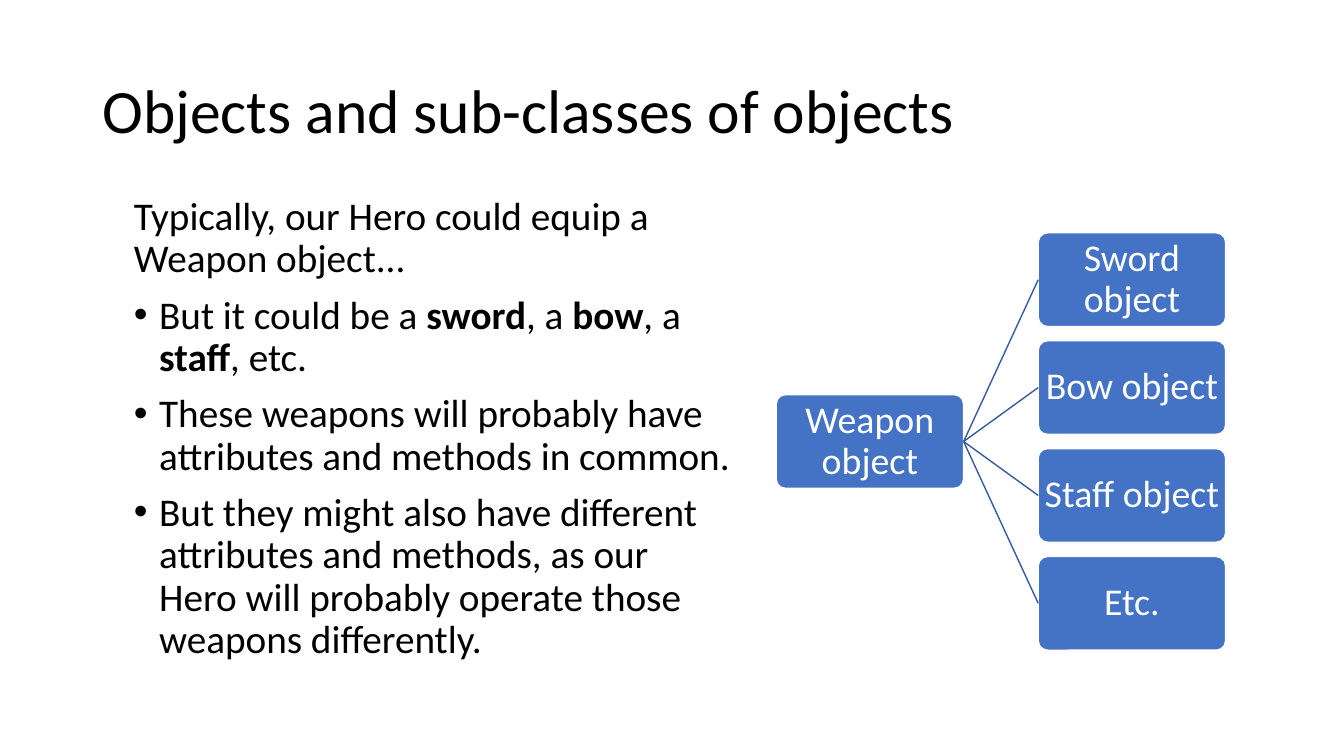
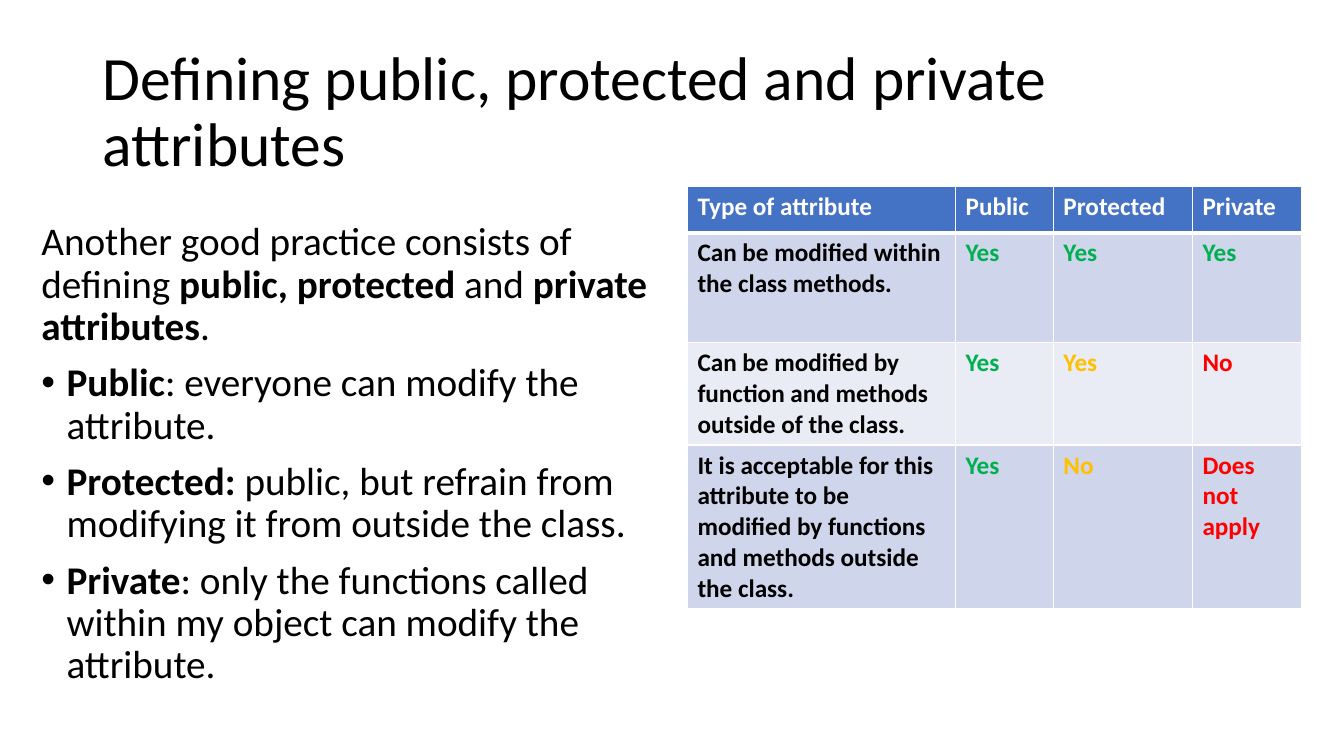
from dataclasses import dataclass

from lxml import etree
from pptx import Presentation
from pptx import util as u
from pptx.dml.color import RGBColor
from pptx.enum import shapes, text
from pptx.oxml import ns

FONT = "Calibri"
COLOURS = {
    "ink": "000000", "paper": "FFFFFF", "accent": "4472C4", "link": "365B9D",
    "band": "CFD5EA", "light": "E9EBF5",
    "good": "00B050", "caution": "FFC000", "bad": "FF0000",
}
WIDTH, HEIGHT = u.Inches(13.333), u.Inches(7.5)


@dataclass(frozen=True)
class Frame:
    """An area, in hundredths of the slide's width and height."""
    left: float
    top: float
    width: float
    height: float

    def lengths(self) -> tuple[int, int, int, int]:
        return (across(self.left), down(self.top),
                across(self.width), down(self.height))


@dataclass(frozen=True)
class Answer:
    wording: str
    colour: str


TITLE = Frame(6.88, 5.33, 86.25, 19.33)


def across(share: float) -> int:
    return round(WIDTH * share / 100)


def down(share: float) -> int:
    return round(HEIGHT * share / 100)


def colour(name: str) -> RGBColor:
    return RGBColor.from_string(COLOURS[name])


def add_element(parent, tag: str, **attributes: str):
    return etree.SubElement(parent, ns.qn(tag), attributes)


def set_font(para, size: float, shade: str, bold: bool = False) -> None:
    para.font.name = FONT
    para.font.size = u.Pt(size)
    para.font.bold = bold
    para.font.color.rgb = colour(shade)


# Title and body text
def place(box, frame: Frame) -> None:
    box.left, box.top, box.width, box.height = frame.lengths()
    box.text_frame.auto_size = text.MSO_AUTO_SIZE.NONE
    box.text_frame.word_wrap = True


def add_page(deck, title: str, body_frame: Frame, lines: list[str]):
    """Add a title and a lead line with bullets; ** switches bold on and off."""
    page = deck.slides.add_slide(deck.slide_layouts[1])
    heading, body = page.shapes.title, page.placeholders[1]
    place(heading, TITLE)
    heading.text_frame.vertical_anchor = text.MSO_ANCHOR.MIDDLE
    heading.text_frame.text = title
    para = heading.text_frame.paragraphs[0]
    para.alignment, para.line_spacing = text.PP_ALIGN.LEFT, 0.9
    set_font(para, 44, "ink")

    place(body, body_frame)
    for index, line in enumerate(lines):
        para = body.text_frame.paragraphs[0] if index == 0 else body.text_frame.add_paragraph()
        properties = para._p.get_or_add_pPr()
        indent = u.Inches(0.25) if index else 0
        properties.set("marL", str(indent))
        properties.set("indent", str(-indent))
        if index:
            add_element(properties, "a:buFont", typeface="Arial")
            add_element(properties, "a:buChar", char="•")
        else:
            add_element(properties, "a:buNone")
        para.line_spacing = 0.9
        para.space_before = u.Pt(10 if index else 0)
        set_font(para, 28, "ink")
        for part, words in enumerate(line.split("**")):
            if words:
                span = para.add_run()
                span.text = words
                if part % 2:
                    span.font.bold = True
    return page


# Class tree
def add_node(page, label: str, frame: Frame):
    node = page.shapes.add_shape(shapes.MSO_SHAPE.ROUNDED_RECTANGLE, *frame.lengths())
    node.adjustments[0] = 0.1
    node.shadow.inherit = False
    node.fill.solid()
    node.fill.fore_color.rgb = colour("accent")
    node.line.color.rgb = colour("paper")
    node.line.width = u.Pt(1)
    box = node.text_frame
    box.word_wrap = True
    box.vertical_anchor = text.MSO_ANCHOR.MIDDLE
    box.margin_left = box.margin_right = box.margin_top = box.margin_bottom = u.Inches(0.02)
    box.text = label
    para = box.paragraphs[0]
    para.alignment, para.line_spacing = text.PP_ALIGN.CENTER, 0.9
    set_font(para, 27, "paper")
    return node


def add_link(page, parent, child) -> None:
    link = page.shapes.add_connector(shapes.MSO_CONNECTOR.STRAIGHT, 0, 0, 0, 0)
    link.begin_connect(parent, 3)
    link.end_connect(child, 1)
    link.line.color.rgb = colour("link")
    link.line.width = u.Pt(1)
    add_element(link._element.spPr, "a:effectLst")


def add_tree(page, root: str, branches: list[str]) -> None:
    width, height, top, pitch = 13.95, 12.4, 30.8, 14.27
    middle = top + pitch * (len(branches) - 1) / 2
    parent = add_node(page, root, Frame(57.75, middle, width, height))
    for index, label in enumerate(branches):
        child = add_node(page, label, Frame(77.25, top + index * pitch, width, height))
        add_link(page, parent, child)


# Attribute table
def style_cell(cell, answer: Answer, fill: str, bold_sides: tuple[str, ...]) -> None:
    cell.text = answer.wording
    set_font(cell.text_frame.paragraphs[0], 18, answer.colour, bold=True)
    cell.fill.solid()
    cell.fill.fore_color.rgb = colour(fill)
    properties = cell._tc.get_or_add_tcPr()
    for position, side in enumerate(("lnL", "lnR", "lnT", "lnB")):
        width = u.Pt(3 if side in bold_sides else 1)
        border = add_element(properties, f"a:{side}", w=str(width))
        solid = add_element(border, "a:solidFill")
        add_element(solid, "a:srgbClr", val=COLOURS["paper"])
        properties.insert(position, border)


def add_answers(page, rows: list[list[Answer]]) -> None:
    widths = (19.95, 7.28, 10.35, 8.1)
    heights = (6.13, 14.53, 13.47, 18.4)
    frame = Frame(51.15, 24.67, sum(widths), sum(heights))
    table = page.shapes.add_table(len(rows), len(widths), *frame.lengths()).table
    for column, width in zip(table.columns, widths):
        column.width = across(width)
    for index, (answers, height) in enumerate(zip(rows, heights)):
        table.rows[index].height = down(height)
        fill = "accent" if index == 0 else ("light", "band")[index % 2]
        bold_sides = {0: ("lnB",), 1: ("lnT",)}.get(index, ())
        for column, answer in enumerate(answers):
            style_cell(table.cell(index, column), answer, fill, bold_sides)


def main() -> None:
    deck = Presentation()
    deck.slide_width, deck.slide_height = WIDTH, HEIGHT

    # Slide 1: sub-classes
    page = add_page(deck, "Objects and sub-classes of objects", Frame(9.22, 25.33, 46.12, 74.67), [
        "Typically, our Hero could equip a Weapon object...",
        "But it could be a **sword**, a **bow**, a **staff**, etc.",
        "These weapons will probably have attributes and methods in common.",
        "But they might also have different attributes and methods, as our Hero "
        "will probably operate those weapons differently.",
    ])
    add_tree(page, "Weapon object", ["Sword object", "Bow object", "Staff object", "Etc."])

    # Slide 2: kinds of attributes
    page = add_page(deck, "Defining public, protected and private attributes",
                    Frame(2.33, 28.67, 47.47, 71.33), [
        "Another good practice consists of defining **public, protected** and "
        "**private attributes**.",
        "**Public**: everyone can modify the attribute.",
        "**Protected: **public, but refrain from modifying it from outside the class.",
        "**Private**: only the functions called within my object can modify the attribute.",
    ])
    yes = Answer("Yes", "good")
    headings = ("Type of attribute", "Public", "Protected", "Private")
    add_answers(page, [
        [Answer(heading, "paper") for heading in headings],
        [Answer("Can be modified within the class methods.", "ink"), yes, yes, yes],
        [Answer("Can be modified by function and methods outside of the class.", "ink"),
         yes, Answer("Yes", "caution"), Answer("No", "bad")],
        [Answer("It is acceptable for this attribute to be modified by functions "
                "and methods outside the class.", "ink"),
         yes, Answer("No", "caution"), Answer("Does not apply", "bad")],
    ])
    deck.save("out.pptx")


if __name__ == "__main__":
    main()
